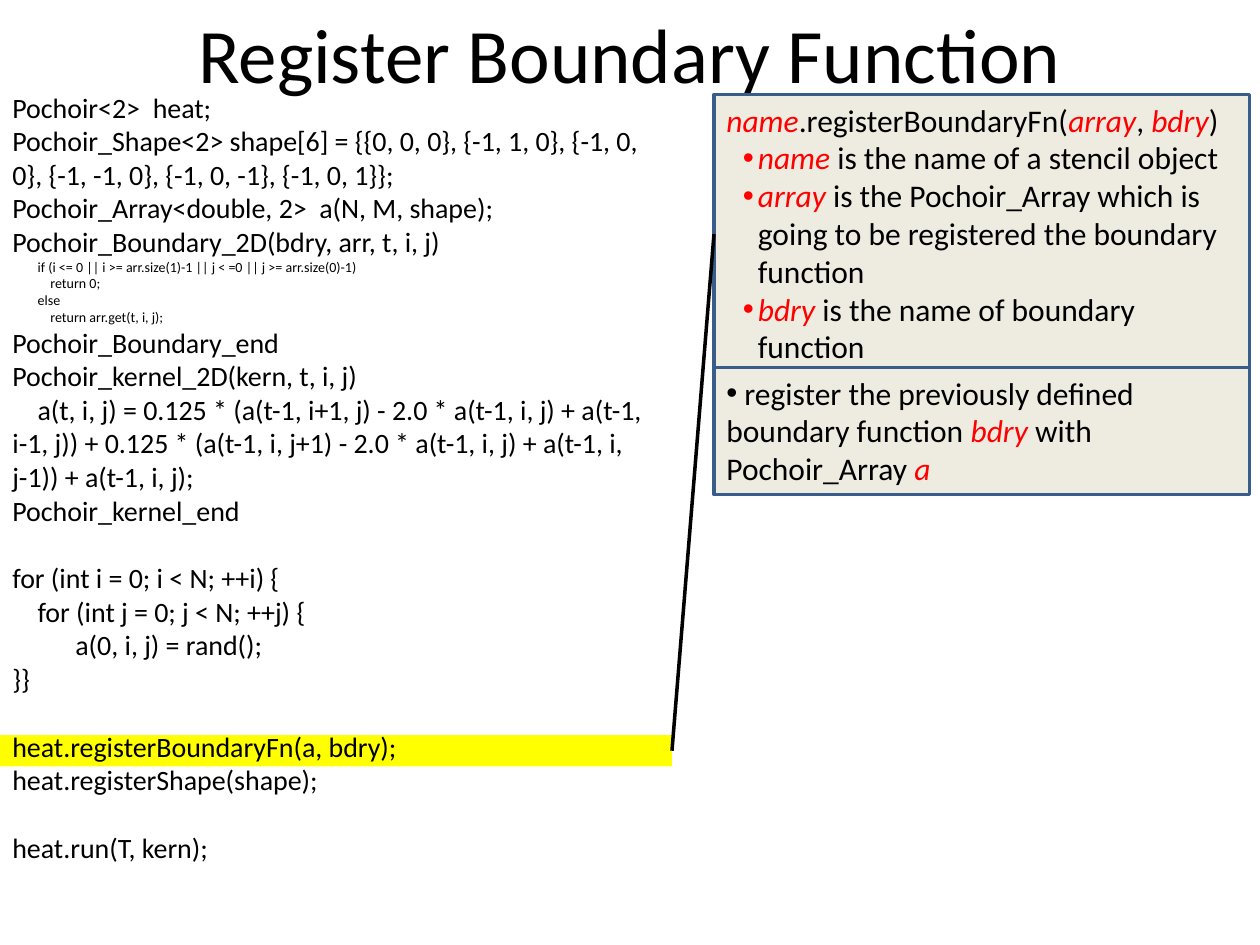
from lxml import etree
from pptx import Presentation
from pptx import util as u
from pptx.dml.color import RGBColor
from pptx.enum import shapes, text
from pptx.oxml.ns import qn

CELL = u.Inches(1 / 12)  # the slide is 120 columns by 90 rows
COLORS = {"ink": "000000", "accent": "FF0000", "mark": "FFFF00",
          "panel": "EEECE1", "border": "385D8A"}
CODE_SIZE, SMALL_SIZE, NOTE_SIZE = 16, 8, 18
BLANK_LINE = 19.5  # points taken by one empty line of code

# Each block is (text size, lines, space before its first line).
CODE_BLOCKS = [
    (CODE_SIZE, [
        "Pochoir<2>  heat;",
        "Pochoir_Shape<2> shape[6] = {{0, 0, 0}, {-1, 1, 0}, {-1, 0, 0}, "
        "{-1, -1, 0}, {-1, 0, -1}, {-1, 0, 1}};",
        "Pochoir_Array<double, 2>  a(N, M, shape);",
        "Pochoir_Boundary_2D(bdry, arr, t, i, j)"], 0),
    (SMALL_SIZE, [
        "        if (i <= 0 || i >= arr.size(1)-1 || j < =0 || j >= arr.size(0)-1)",
        "            return 0;",
        "        else",
        "            return arr.get(t, i, j);"], 0),
    (CODE_SIZE, [
        "Pochoir_Boundary_end",
        "Pochoir_kernel_2D(kern, t, i, j)",
        "    a(t, i, j) = 0.125 * (a(t-1, i+1, j) - 2.0 * a(t-1, i, j) + "
        "a(t-1, i-1, j)) + 0.125 * (a(t-1, i, j+1) - 2.0 * a(t-1, i, j) + "
        "a(t-1, i, j-1)) + a(t-1, i, j);",
        "Pochoir_kernel_end"], 0),
    (CODE_SIZE, [
        "for (int i = 0; i < N; ++i) {",
        "    for (int j = 0; j < N; ++j) {",
        "          a(0, i, j) = rand();",
        "}}"], BLANK_LINE),
    (CODE_SIZE, [
        "heat.registerBoundaryFn(a, bdry);",
        "heat.registerShape(shape);"], BLANK_LINE),
    (CODE_SIZE, ["heat.run(T, kern);"], BLANK_LINE),
]

# Words between asterisks are emphasised.
SYNTAX = "*name*.registerBoundaryFn(*array*, *bdry*)"
ARGUMENTS = [
    "*name *is the name of a stencil object",
    "*array *is the Pochoir_Array which is going to be registered the boundary function",
    "*bdry* is the name of boundary function",
]
PURPOSE = (" register the previously defined boundary function *bdry*"
           " with Pochoir_Array *a*")


def color(name):
    return RGBColor.from_string(COLORS[name])


def area(column, row, columns, rows):
    return [round(CELL * value) for value in (column, row, columns, rows)]


def add_bullet(para, margin, indent):
    properties = para._p.get_or_add_pPr()
    properties.set("marL", str(u.Inches(margin)))
    properties.set("indent", str(u.Inches(indent)))
    etree.SubElement(properties, qn("a:buFont"), typeface="Arial")
    etree.SubElement(properties, qn("a:buChar"), char="•")


def add_text(frame, content, size, emphasis=False, before=0,
             align=text.PP_ALIGN.LEFT, bullet=None):
    """Append a paragraph; with emphasis, *words* become red italics."""
    para = frame.paragraphs[0]
    if para.runs:
        para = frame.add_paragraph()
    para.alignment = align
    if before:
        para.space_before = u.Pt(before)
    if bullet:
        add_bullet(para, *bullet)
    for index, part in enumerate(content.split("*") if emphasis else [content]):
        if part:
            span = para.add_run()
            span.text = part
            span.font.name = "Calibri"
            span.font.size = u.Pt(size)
            span.font.italic = index % 2 == 1
            span.font.color.rgb = color("accent" if index % 2 else "ink")


def add_text_box(page, place, anchor=text.MSO_ANCHOR.TOP):
    frame = page.shapes.add_textbox(*area(*place)).text_frame
    frame.word_wrap = True
    frame.vertical_anchor = anchor
    return frame


def add_rectangle(page, place, fill, border=None):
    box = page.shapes.add_shape(shapes.MSO_SHAPE.RECTANGLE, *area(*place))
    box.shadow.inherit = False
    box.fill.solid()
    box.fill.fore_color.rgb = color(fill)
    if border:
        box.line.color.rgb = color(border)
        box.line.width = u.Pt(2)
    else:
        box.line.fill.background()
    box.text_frame.word_wrap = True
    box.text_frame.vertical_anchor = text.MSO_ANCHOR.TOP
    return box


def join(page, start, end):
    """Draw a line from the right side of start to the left side of end."""
    line = page.shapes.add_connector(shapes.MSO_CONNECTOR.STRAIGHT, 0, 0, 0, 0)
    line.begin_connect(start, 3)
    line.end_connect(end, 1)
    line.line.color.rgb = color("ink")
    line.line.width = u.Pt(2)
    etree.SubElement(line._element.spPr, qn("a:effectLst"))


def add_code(page):
    frame = add_text_box(page, (0, 8, 65, 75.5))
    for size, lines, gap in CODE_BLOCKS:
        for index, line in enumerate(lines):
            add_text(frame, line, size, before=0 if index else gap)


def main():
    deck = Presentation()
    deck.slide_width, deck.slide_height = u.Inches(10), u.Inches(7.5)
    page = deck.slides.add_slide(deck.slide_layouts[6])

    highlight = add_rectangle(page, (0, 70, 64, 3), "mark")
    add_code(page)
    title = add_text_box(page, (6, 0, 108, 10), text.MSO_ANCHOR.MIDDLE)
    add_text(title, "Register Boundary Function", 44, align=text.PP_ALIGN.CENTER)

    reference = add_rectangle(page, (68, 9, 51, 26.6), "panel", "border")
    add_text(reference.text_frame, SYNTAX, NOTE_SIZE, emphasis=True)
    for argument in ARGUMENTS:
        add_text(reference.text_frame, argument, NOTE_SIZE, emphasis=True,
                 bullet=(0.25, -0.12))
    join(page, highlight, reference)
    purpose = add_rectangle(page, (68, 35, 51, 12.1), "panel", "border")
    add_text(purpose.text_frame, PURPOSE, NOTE_SIZE, emphasis=True, bullet=(0, 0))

    deck.save("out.pptx")


if __name__ == "__main__":
    main()
